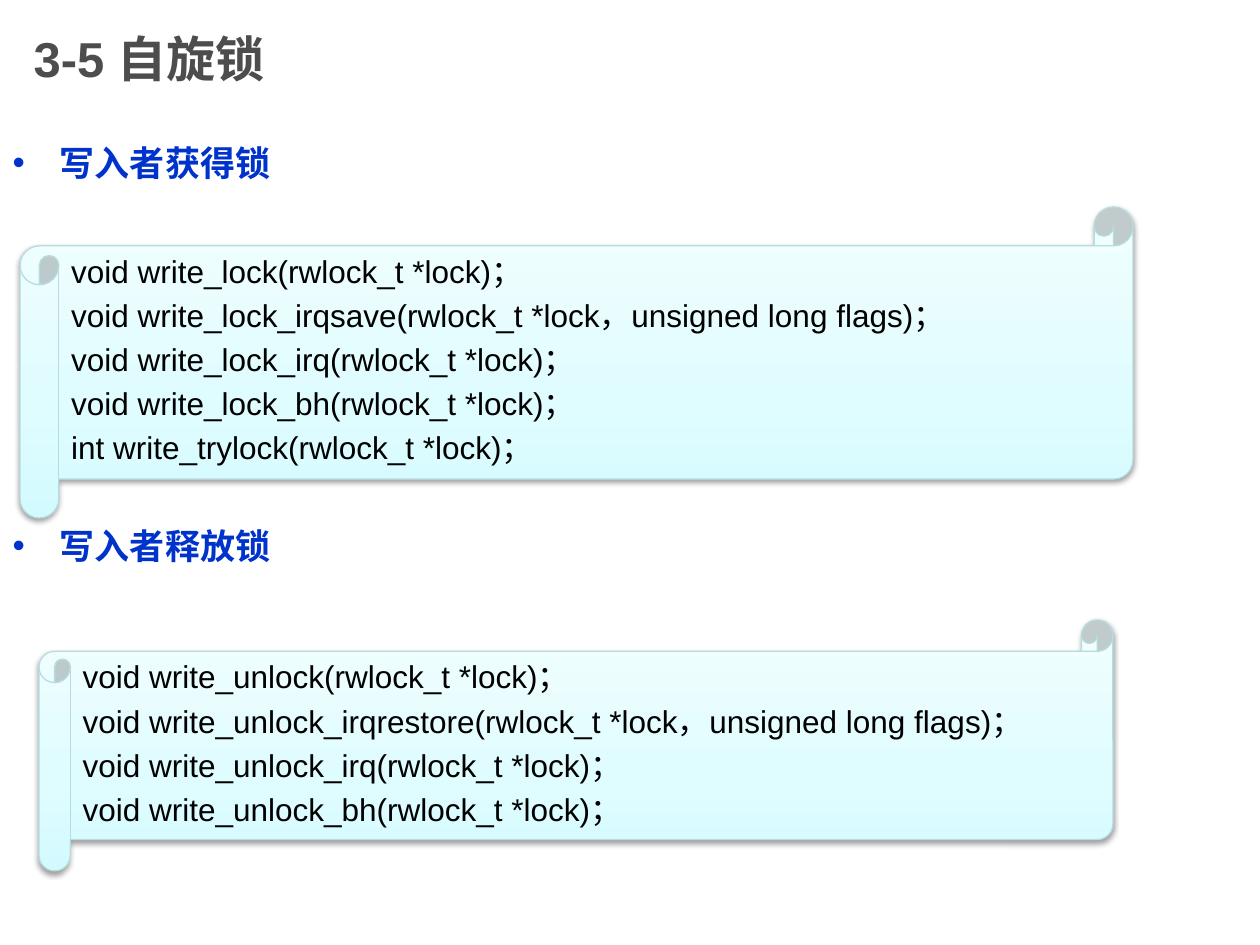
"""Build the slide on acquiring and releasing writer spin locks."""
from copy import deepcopy
from dataclasses import dataclass

from lxml.etree import SubElement
from pptx import Presentation
from pptx.dml.color import RGBColor as RGB
from pptx.enum.shapes import MSO_SHAPE as SHAPE
from pptx.enum.text import MSO_ANCHOR as ANCHOR, MSO_AUTO_SIZE as AUTO_SIZE, PP_ALIGN as ALIGN
from pptx.oxml.ns import qn
from pptx.util import Emu, Pt


@dataclass(frozen=True)
class Theme:
    font: str = "Arial"
    title: RGB = RGB(0x4D, 0x4D, 0x4D)
    heading: RGB = RGB(0x00, 0x33, 0xCC)
    code: RGB = RGB(0, 0, 0)
    outline: RGB = RGB(0xB6, 0xDC, 0xDF)
    gradient: tuple = ((0, "D3FBFF"), (0.35, "DFFCFF"), (1, "F2FEFF"))
    title_size: int = 28
    heading_size: int = 20
    code_size: int = 18


THEME = Theme()
PX = 914400 / 126


def px(*lengths):
    return [Emu(round(length * PX)) for length in lengths]


def format_runs(text_frame, size, color, bold):
    for paragraph in text_frame.paragraphs:
        paragraph.alignment = ALIGN.LEFT
        for run in paragraph.runs:
            run.font.name = THEME.font
            run.font.size = Pt(size)
            run.font.color.rgb = color
            run.font.bold = bold


presentation = Presentation()
presentation.slide_width, presentation.slide_height = px(1260, 945)
slide = presentation.slides.add_slide(presentation.slide_layouts[1])

title = slide.shapes.title
title.left, title.top, title.width, title.height = px(21, 0, 945, 116)
title.text_frame.text = "3-5 自旋锁"
title.text_frame.vertical_anchor = ANCHOR.MIDDLE
title.text_frame.auto_size = AUTO_SIZE.NONE
format_runs(title.text_frame, THEME.title_size, THEME.title, True)

body = slide.placeholders[1]
body.left, body.top, body.width, body.height = px(0, 135, 1235, 784)
body.text_frame.text = "写入者获得锁\n写入者释放锁"
body.text_frame.auto_size = AUTO_SIZE.NONE
format_runs(body.text_frame, THEME.heading_size, THEME.heading, True)
body.text_frame.paragraphs[1].space_before = Pt(195)

scrolls = [
    ((20, 207, 1113, 311), [
        "void write_lock(rwlock_t *lock)；",
        "void write_lock_irqsave(rwlock_t *lock，unsigned long flags)；",
        "void write_lock_irq(rwlock_t *lock)；",
        "void write_lock_bh(rwlock_t *lock)；",
        "int write_trylock(rwlock_t *lock)；",
    ]),
    ((39, 620, 1074, 251), [
        "void write_unlock(rwlock_t *lock)；",
        "void write_unlock_irqrestore(rwlock_t *lock，unsigned long flags)；",
        "void write_unlock_irq(rwlock_t *lock)；",
        "void write_unlock_bh(rwlock_t *lock)；",
    ]),
]
for box, declarations in scrolls:
    scroll = slide.shapes.add_shape(SHAPE.HORIZONTAL_SCROLL, *px(*box))
    scroll.line.color.rgb = THEME.outline
    scroll.line.width = Pt(0.75)

    scroll.fill.gradient()
    scroll.fill.gradient_angle = 90
    stop_list = scroll.element.xpath(".//a:gsLst")[0]
    stop_list.append(deepcopy(stop_list[0]))
    for stop, (position, color) in zip(scroll.fill.gradient_stops, THEME.gradient):
        stop.position = position
        stop.color.rgb = RGB.from_string(color)

    scroll.shadow.inherit = False
    effects = scroll.element.xpath("./p:spPr/a:effectLst")[0]
    shadow = SubElement(effects, qn("a:outerShdw"), blurRad=str(Pt(3.1)),
                        dist=str(Pt(1.6)), dir="5400000", rotWithShape="0")
    shadow_color = SubElement(shadow, qn("a:srgbClr"), val="000000")
    SubElement(shadow_color, qn("a:alpha"), val="38000")

    text_frame = scroll.text_frame
    text_frame.text = "\n".join(declarations)
    text_frame.word_wrap = True
    text_frame.vertical_anchor = ANCHOR.TOP
    format_runs(text_frame, THEME.code_size, THEME.code, False)
    for paragraph in text_frame.paragraphs:
        paragraph.space_before = Pt(3.6)

presentation.save("out.pptx")
